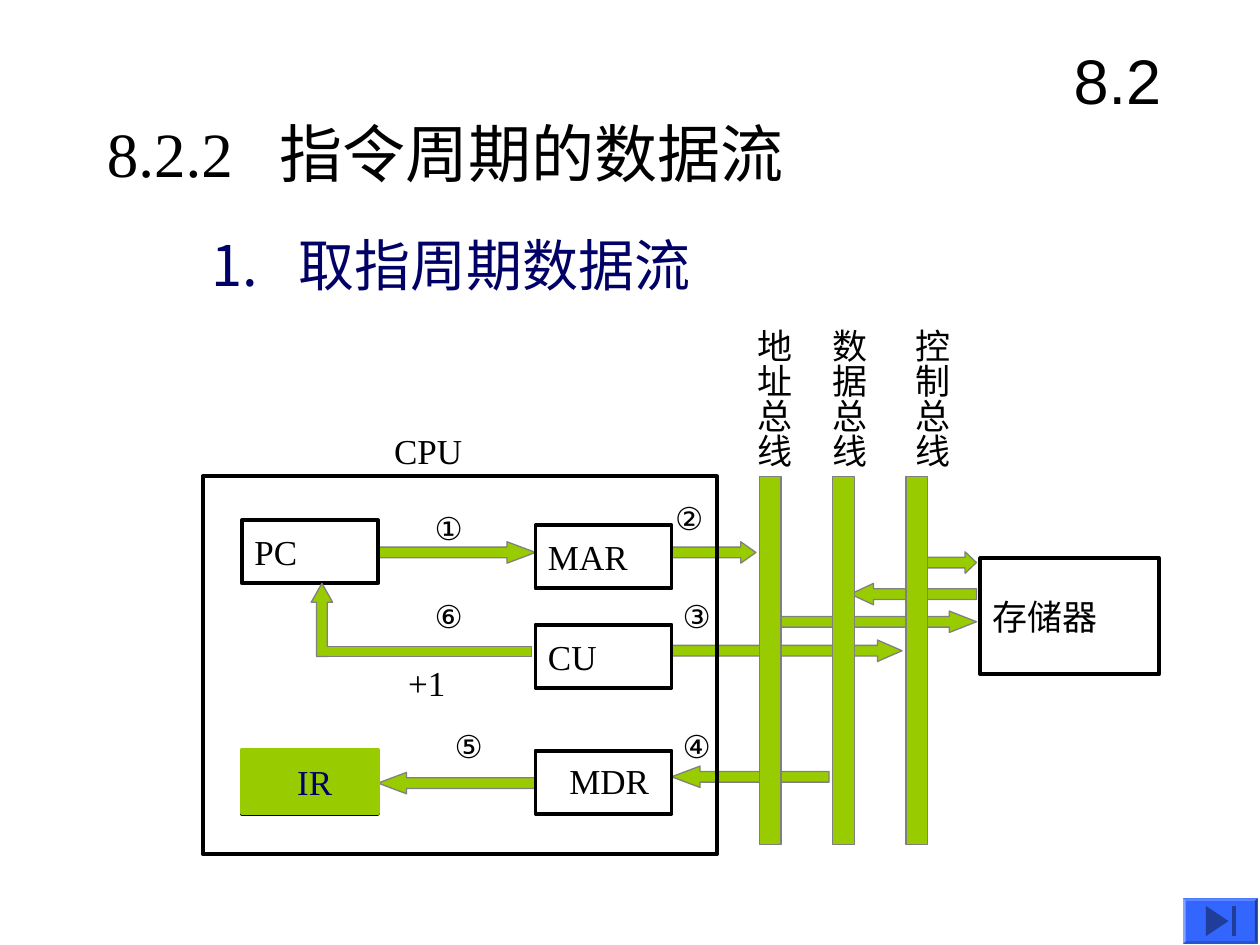
from lxml import etree
from pptx import Presentation
from pptx.dml.color import RGBColor
from pptx.enum import shapes, text
from pptx.oxml.ns import qn
from pptx.util import Inches, Pt

KIND = shapes.MSO_SHAPE
ROMAN, SANS, CJK = "Times New Roman", "Arial", "Noto Sans CJK SC"
GREEN, GREY, NAVY, BLACK = "99CC00", "808080", "000066", "000000"
THICK = 0.17


def color(code):
    return RGBColor.from_string(code)


def write(shape, words, size=20, font=ROMAN, ink=BLACK, wrap=False,
          grow=False, middle=False, tab=None, upright=False):
    frame = shape.text_frame
    frame.word_wrap = wrap
    frame.auto_size = (text.MSO_AUTO_SIZE.SHAPE_TO_FIT_TEXT if grow
                       else text.MSO_AUTO_SIZE.NONE)
    frame.vertical_anchor = (text.MSO_ANCHOR.MIDDLE if middle
                             else text.MSO_ANCHOR.TOP)
    side, edge = (0.05, 0.1) if upright else (0.1, 0.05)
    frame.margin_left = frame.margin_right = Inches(side)
    frame.margin_top = frame.margin_bottom = Inches(edge)
    if upright:
        frame._txBody.bodyPr.set("vert", "eaVert")
    para = frame.paragraphs[0]
    para.alignment = text.PP_ALIGN.LEFT
    if tab:
        stops = etree.SubElement(para._p.get_or_add_pPr(), qn("a:tabLst"))
        etree.SubElement(stops, qn("a:tab"), pos=str(Inches(tab)), algn="l")
    run = para.add_run()
    run.text = words
    run.font.size = Pt(size)
    run.font.name = font
    run.font.color.rgb = color(ink)
    etree.SubElement(run.font._element, qn("a:ea"), typeface=CJK)


def label(slide, words, left, top, width, height, **style):
    box = slide.shapes.add_textbox(*map(Inches, (left, top, width, height)))
    write(box, words, grow=True, **style)


def paint(shape, fill, line, weight):
    shape.shadow.inherit = False
    if fill:
        shape.fill.solid()
        shape.fill.fore_color.rgb = color(fill)
    else:
        shape.fill.background()
    if line:
        shape.line.color.rgb = color(line)
        shape.line.width = Pt(weight)
    else:
        shape.line.fill.background()


def block(slide, left, top, width, height, fill=None, line=BLACK,
          weight=2.25, kind=KIND.RECTANGLE):
    shape = slide.shapes.add_shape(
        kind, *map(Inches, (left, top, width, height)))
    paint(shape, fill, line, weight)
    return shape


def bar(slide, left, top, width, height, kind=KIND.RECTANGLE):
    return block(slide, left, top, width, height, GREEN, GREY, 0.75, kind)


def arrow(slide, left, top, width, head, back=False):
    """Draw a flat arrow; head is its head length over its thickness."""
    shape = bar(slide, left, top, width, THICK, KIND.RIGHT_ARROW)
    shape.adjustments[1] = head
    if back:
        shape.rotation = 180


def unit(slide, words, left, top, width=1.08, height=0.5):
    write(block(slide, left, top, width, height), words, middle=True)


def patch(slide, points, fill):
    spots = [(Inches(x), Inches(y)) for x, y in points]
    build = slide.shapes.build_freeform(*spots[0])
    build.add_line_segments(spots[1:])
    paint(build.convert_to_shape(), fill, None, 0)


def button(slide):
    """Draw the bevelled button with its go-to-end sign."""
    left, top, right, low, rim = 9.39, 7.13, 9.98, 7.49, 0.02
    outer = [(left, top), (right, top), (right, low), (left, low)]
    inner = [(left + rim, top + rim), (right - rim, top + rim),
             (right - rim, low - rim), (left + rim, low - rim)]
    patch(slide, outer, "3366FF")
    for i, tone in enumerate(("5C85FF", "1F3D99", "2952CC", "85A3FF")):
        j = (i + 1) % 4
        patch(slide, [outer[i], outer[j], inner[j], inner[i]], tone)
    patch(slide, [(9.75, 7.31), (9.57, 7.43), (9.57, 7.19)], "1F3D99")
    patch(slide, [(9.78, 7.19), (9.78, 7.43), (9.81, 7.43), (9.81, 7.19)],
          "1F3D99")


def headings(slide):
    title = slide.shapes.title
    title.left, title.top = Inches(8.42), Inches(0.17)
    title.width, title.height = Inches(1.25), Inches(0.92)
    write(title, "8.2", size=36, font=SANS, wrap=True, middle=True)
    label(slide, "8.2.2\t指令周期的数据流", 0.75, 0.86, 6.25, 0.7,
          size=36, wrap=True, tab=1.37)
    label(slide, "1.\t取指周期数据流", 1.58, 1.78, 6.25, 0.64,
          size=32, font=CJK, ink=NAVY, wrap=True, tab=0.69)


def flows(slide):
    for left, top, width, head, back in (
            (3, 6.13, 1.25, 1.33, True),
            (3, 4.3, 1.25, 1.33, False),
            (5.33, 4.3, 0.67, 0.71, False),
            (5.33, 6.08, 1.25, 1.33, True),
            (5.33, 5.08, 1.83, 1.15, False),
            (6.17, 4.85, 1.58, 1.27, False),
            (6.75, 4.63, 1, 1.07, True),
            (7.25, 4.38, 0.5, 0.53, False)):
        arrow(slide, left, top, width, head, back)


def units(slide):
    block(slide, 1.61, 3.78, 4.08, 3)
    label(slide, "CPU", 3.03, 3.36, 0.74, 0.44)
    unit(slide, "PC", 1.92, 4.13)
    unit(slide, "MAR", 4.25, 4.17)
    unit(slide, "CU", 4.25, 4.96)
    block(slide, 4.25, 5.96, 1.08, 0.5)
    label(slide, "MDR", 4.42, 5.98, 0.9, 0.44)
    block(slide, 1.92, 5.96, 1.08, 0.5)
    block(slide, 1.92, 5.95, 1.08, 0.5, GREEN, GREEN)
    inner = block(slide, 2.26, 5.99, 0.48, 0.44, GREEN, GREEN, 0.75)
    write(inner, "IR", ink=NAVY, grow=True)
    unit(slide, "存储器", 7.78, 4.43, 1.42, 0.92)


def buses(slide):
    for i, (words, left) in enumerate((
            ("地址总线", 5.83), ("数据总线", 6.42), ("控制总线", 7.08))):
        bar(slide, 6.03 + i * 0.58, 3.78, THICK, 2.92)
        label(slide, words, left, 2.51, 0.53, 1.22, upright=True)


def loop(slide):
    """Draw the bent arrow that adds one to PC."""
    bar(slide, 2.55, 5.13, 1.67, 0.08)
    stem = bar(slide, 2.47, 4.63, THICK, 0.58, KIND.UP_ARROW)
    stem.adjustments[1] = 0.88
    block(slide, 2.59, 5.14, 0.04, 0.06, GREEN, GREEN, 0.75)
    label(slide, "+1", 3.14, 5.2, 1.75, 0.44, wrap=True)


def steps(slide):
    for sign, left, top in (
            ("①", 3.35, 3.99), ("②", 5.26, 3.91), ("③", 5.32, 4.69),
            ("④", 5.32, 5.72), ("⑤", 3.51, 5.72), ("⑥", 3.35, 4.69)):
        label(slide, sign, left, top, 0.45, 0.4, size=18, font=SANS)


def main():
    deck = Presentation()
    deck.slide_width, deck.slide_height = Inches(10), Inches(7.5)
    slide = deck.slides.add_slide(deck.slide_layouts[5])
    for draw in (headings, flows, units, buses, loop, button, steps):
        draw(slide)
    deck.save("out.pptx")


if __name__ == "__main__":
    main()
